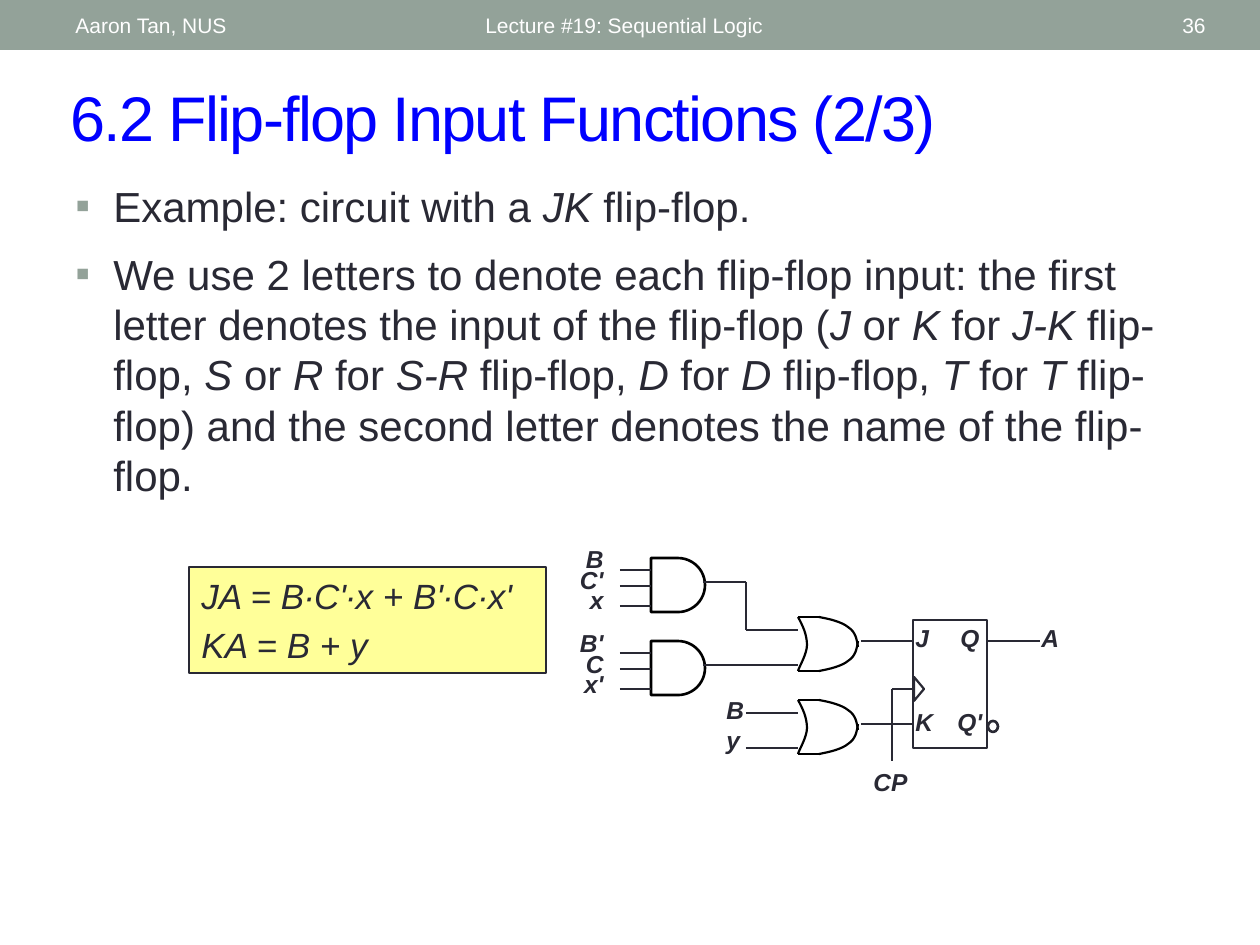
from lxml import etree
from pptx import Presentation
from pptx.dml.color import RGBColor
from pptx.enum.shapes import MSO_CONNECTOR, MSO_SHAPE
from pptx.enum.text import MSO_ANCHOR, PP_ALIGN
from pptx.oxml.ns import qn
from pptx.util import Emu, Pt

STRAIGHT = MSO_CONNECTOR.STRAIGHT
RECTANGLE, DELAY = MSO_SHAPE.RECTANGLE, MSO_SHAPE.FLOWCHART_DELAY
TRIANGLE, OVAL = MSO_SHAPE.ISOSCELES_TRIANGLE, MSO_SHAPE.OVAL
LEFT, RIGHT = PP_ALIGN.LEFT, PP_ALIGN.RIGHT
TOP, MIDDLE = MSO_ANCHOR.TOP, MSO_ANCHOR.MIDDLE
PX = 914400 / 126
HEX = {"bar": "93A299", "title": "0000FF", "ink": "292934", "gate": "000000",
       "note": "FFFF99", "white": "FFFFFF"}
COLOURS = {name: RGBColor.from_string(value) for name, value in HEX.items()}

deck = Presentation()
deck.slide_width, deck.slide_height = Emu(9144000), Emu(6858000)
page = deck.slides.add_slide(deck.slide_layouts[5])


def write(box, lines, size, colour, align=LEFT, anchor=TOP, wrap=True, gap=0, spacing=None):
    frame = box.text_frame
    frame.word_wrap = wrap
    frame.vertical_anchor = anchor
    for index, line in enumerate(lines):
        para = frame.paragraphs[0] if index == 0 else frame.add_paragraph()
        para.alignment = align
        if index and gap:
            para.space_before = Pt(gap)
        if spacing:
            para.line_spacing = spacing
        para.font.name = "Arial"
        para.font.size = Pt(size)
        para.font.color.rgb = COLOURS[colour]
        for part, words in enumerate(line.split("*")):
            if words:
                span = para.add_run()
                span.text = words
                if part % 2:
                    span.font.italic = True
    return frame.paragraphs


def draw_wire(x1, y1, x2, y2, colour="ink"):
    wire = circuit.shapes.add_connector(STRAIGHT, *[Emu(round(n * PX)) for n in (x1, y1, x2, y2)])
    wire.line.color.rgb = COLOURS[colour]
    wire.line.width = Pt(1.25)
    etree.SubElement(wire._element.spPr, qn("a:effectLst"))


bar = page.shapes.add_shape(RECTANGLE, 0, 0, deck.slide_width, Emu(round(50 * PX)))
bar.shadow.inherit = False
bar.fill.solid()
bar.fill.fore_color.rgb = COLOURS["bar"]
bar.line.fill.background()

title = page.shapes.title
title.left, title.top, title.width, title.height = [Emu(round(n * PX)) for n in (58, 72, 1160, 88)]
title_para = write(title, ["6.2 Flip-flop Input Functions (2/3)"], 36, "title", anchor=MIDDLE)[0]
title_para.runs[0]._r.get_or_add_rPr().set("spc", "-100")

for text, left, width, align in [
    ("Lecture #19: Sequential Logic", 473, 567, LEFT),
    ("36", 1099, 119, RIGHT),
    ("Aaron Tan, NUS", 63, 399, LEFT),
]:
    box = page.shapes.add_textbox(*[Emu(round(n * PX)) for n in (left, 3, width, 45)])
    write(box, [text], 12, "white", align, MIDDLE)

body = page.shapes.add_textbox(*[Emu(round(n * PX)) for n in (63, 174, 1134, 350)])
for para in body.text_frame.paragraphs:
    para.text = ""
points = [
    "Example: circuit with a *JK* flip-flop.",
    "We use 2 letters to denote each flip-flop input: the first letter denotes the input of the "
    "flip-flop (*J* or *K* for *J-K* flip-flop, *S* or *R* for *S-R* flip-flop, *D* for *D* "
    "flip-flop, *T* for *T* flip-flop) and the second letter denotes the name of the flip-flop.",
]
body.text_frame.add_paragraph()
body.text_frame._txBody.remove(body.text_frame.paragraphs[-1]._p)
for para in write(body, points, 24, "ink", gap=10):
    properties = para._p.get_or_add_pPr()
    properties.set("marL", str(round(38 * PX)))
    properties.set("indent", str(round(-38 * PX)))
    bullet_colour = etree.Element(qn("a:buClr"))
    etree.SubElement(bullet_colour, qn("a:srgbClr"), val=HEX["bar"])
    bullet_font = etree.Element(qn("a:buFont"), typeface="Arial")
    bullet = etree.Element(qn("a:buChar"), char="▪")
    defaults = properties.find(qn("a:defRPr"))
    for element in (bullet_colour, bullet_font, bullet):
        defaults.addprevious(element)

note = page.shapes.add_shape(RECTANGLE, *[Emu(round(n * PX)) for n in (189, 567, 357, 106)])
note.shadow.inherit = False
note.fill.solid()
note.fill.fore_color.rgb = COLOURS["note"]
note.line.color.rgb = COLOURS["ink"]
note.line.width = Pt(0.75)
for para in write(note, ["JA = B∙C'∙x + B'∙C∙x'", "KA = B + y"], 20, "ink", anchor=MIDDLE, gap=4):
    para.font.italic = True

circuit = page.shapes.add_group_shape()
ROW = 83

for shape_kind, left, top, width, height, colour, weight in [
    (DELAY, 651, 558, 54, 54, "gate", 1.5),
    (DELAY, 651, 558 + ROW, 54, 54, "gate", 1.5),
    (RECTANGLE, 913, 620, 74, 128, "ink", 1.5),
    (TRIANGLE, 907, 684, 24, 10, "ink", 1.25),
    (OVAL, 988, 721, 10, 11, "ink", 1.5),
]:
    part = circuit.shapes.add_shape(shape_kind, *[Emu(round(n * PX)) for n in (left, top, width, height)])
    part.shadow.inherit = False
    part.line.color.rgb = COLOURS[colour]
    part.line.width = Pt(weight)
    if shape_kind == OVAL:
        part.fill.solid()
        part.fill.fore_color.rgb = COLOURS["white"]
    else:
        part.fill.background()
    if shape_kind == TRIANGLE:
        part.rotation = 90

back = [(0, 0), (5, 9), (9, 18), (9, 28), (9, 37), (1, 50), (0, 54)]
upper = [(21, 0), (32, 2), (44, 5), (50, 10), (58, 15), (59, 23), (60, 30)]
lower = [(x, 54 - y) for x, y in upper]
for top in (617, 617 + ROW):
    for y in (top, top + 54):
        draw_wire(798, y, 819, y, "gate")
    for curve in (back, upper, lower):
        trace = []
        for start in (0, 3):
            for step in range(9):
                t = step / 8
                weights = ((1 - t) ** 3, 3 * t * (1 - t) ** 2, 3 * t * t * (1 - t), t ** 3)
                corners = curve[start:start + 4]
                trace.append((798 + sum(w * x for w, (x, y) in zip(weights, corners)),
                              top + sum(w * y for w, (x, y) in zip(weights, corners))))
        builder = circuit.shapes.build_freeform(
            round(trace[0][0] * PX), round(trace[0][1] * PX))
        builder.add_line_segments([(round(x * PX), round(y * PX)) for x, y in trace[1:]], close=False)
        arc = builder.convert_to_shape()
        arc.shadow.inherit = False
        arc.fill.background()
        arc.line.color.rgb = COLOURS["gate"]
        arc.line.width = Pt(1.25)

for row in (0, ROW):
    for y in (570, 586, 606):
        draw_wire(620, y + row, 651, y + row)
    draw_wire(861, 641 + row, 913, 641 + row)
for ends in [
    (703, 582, 746, 582), (746, 582, 746, 630), (746, 630, 798, 630), (703, 665, 798, 665),
    (746, 713, 798, 713), (746, 748, 798, 748), (987, 641, 1040, 641),
    (892, 689, 892, 761), (892, 689, 913, 689),
]:
    draw_wire(*ends)

for lines, left, top, width, height, align, spacing in [
    (["B", "C'", "x"], 567, 546, 49, 84, RIGHT, 0.7),
    (["B'", "C", "x'"], 567, 546 + ROW + 1, 49, 84, RIGHT, 0.7),
    (["B", "y"], 714, 689, 43, 81, LEFT, None),
    (["CP"], 861, 761, 59, 48, LEFT, None),
    (["J"], 903, 617, 39, 48, LEFT, None),
    (["K"], 903, 701, 43, 48, LEFT, None),
    (["Q"], 948, 617, 44, 48, LEFT, None),
    (["Q'"], 945, 701, 53, 48, LEFT, None),
    (["A"], 1029, 617, 43, 48, LEFT, None),
]:
    label = circuit.shapes.add_textbox(*[Emu(round(n * PX)) for n in (left, top, width, height)])
    for para in write(label, lines, 14, "ink", align, wrap=False, spacing=spacing):
        para.font.bold = True
        para.font.italic = True

deck.save("out.pptx")
